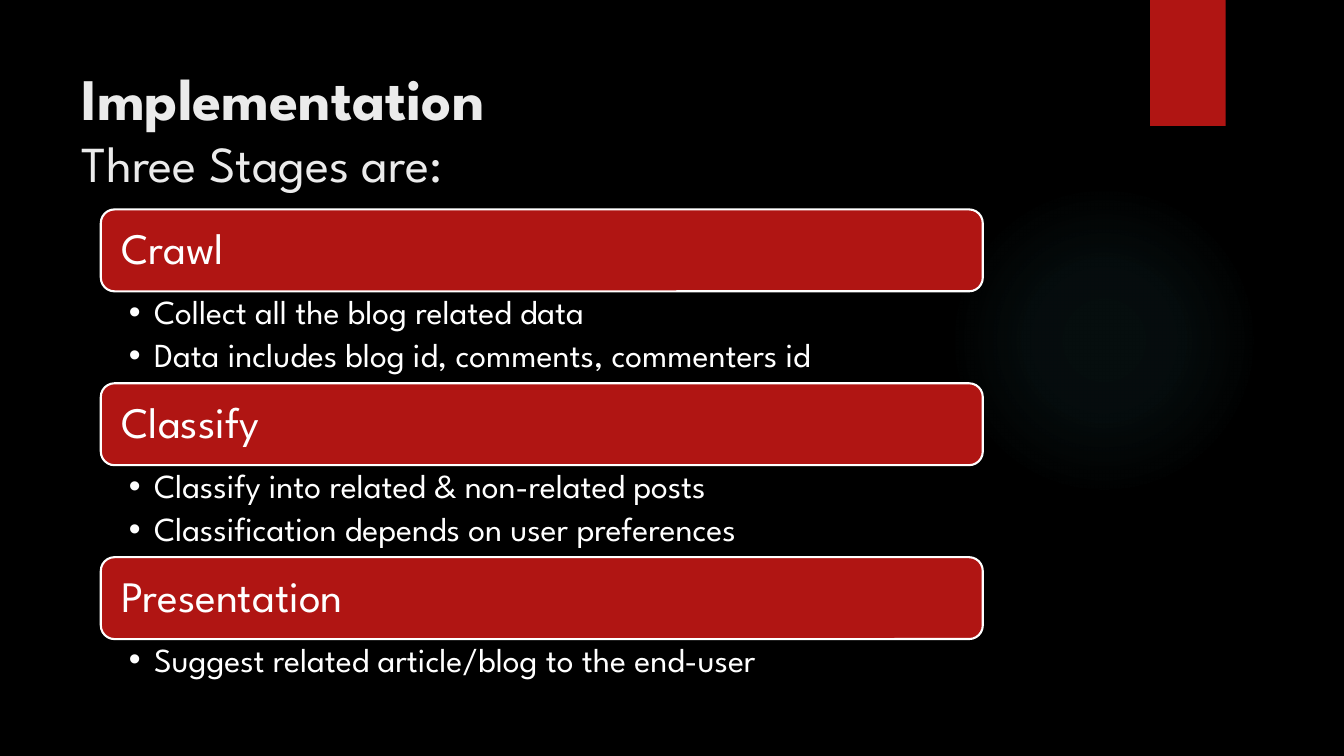
import pptx
import pptx.dml.color
import pptx.enum.shapes
import pptx.enum.text
import pptx.oxml
import pptx.oxml.ns
import pptx.util

Pt = pptx.util.Pt
RGBColor = pptx.dml.color.RGBColor
SHAPE = pptx.enum.shapes.MSO_SHAPE
ANCHOR = pptx.enum.text.MSO_ANCHOR
ALIGN = pptx.enum.text.PP_ALIGN

BLACK = RGBColor(0x00, 0x00, 0x00)
RED = RGBColor(0xB0, 0x15, 0x13)
WHITE = RGBColor(0xFF, 0xFF, 0xFF)
PALE = RGBColor(0xEB, 0xEB, 0xEB)
TEAL = RGBColor(0x50, 0xB9, 0xC1)
FONT = "League Spartan"
COMPARISON_LAYOUT = 4

STAGES = [
    ("Crawl", ["Collect all the blog related data",
               "Data includes blog id, comments, commenters id"]),
    ("Classify", ["Classify into related & non-related posts",
                  "Classification depends on user preferences"]),
    ("Presentation", ["Suggest related article/blog to the end-user"]),
]
STAGE_LEFT, STAGE_WIDTH = 72, 630
STAGE_TOP, STAGE_PITCH = 149.6, 124.2
BAR_HEIGHT = 58.5
LIST_HEIGHTS = {1: 40, 2: 65.5}


def place(item, left, top, width, height):
    item.left, item.top = Pt(left), Pt(top)
    item.width, item.height = Pt(width), Pt(height)


def set_frame(frame, anchor, left, top, right, bottom):
    frame.word_wrap = True
    frame.auto_size = pptx.enum.text.MSO_AUTO_SIZE.NONE
    frame.vertical_anchor = anchor
    frame.margin_left, frame.margin_top = Pt(left), Pt(top)
    frame.margin_right, frame.margin_bottom = Pt(right), Pt(bottom)


def set_font(font, size, color, bold=False):
    font.name, font.size, font.bold = FONT, Pt(size), bold
    font.color.rgb = color


def add_block(slide, kind, left, top, width, height):
    block = slide.shapes.add_shape(kind, Pt(left), Pt(top), Pt(width), Pt(height))
    block.shadow.inherit = False
    block.fill.solid()
    block.fill.fore_color.rgb = RED
    block.line.fill.background()
    return block


def add_glow(slide):
    glow = add_block(slide, SHAPE.OVAL, 677.5, 131.8, 221.8, 221.8)
    stops = "".join(
        f'<a:gs pos="{position * 1000}"><a:srgbClr val="{TEAL}">'
        f'<a:alpha val="{opacity * 1000}"/></a:srgbClr></a:gs>'
        for position, opacity in [(0, 7), (36, 6), (69, 0)])
    gradient = pptx.oxml.parse_xml(
        f'<a:gradFill {pptx.oxml.ns.nsdecls("a")}><a:gsLst>{stops}</a:gsLst>'
        '<a:path path="circle"><a:fillToRect l="50000" t="50000" r="50000" b="50000"/>'
        '</a:path></a:gradFill>')
    properties = glow.element.spPr
    solid = properties.find(pptx.oxml.ns.qn("a:solidFill"))
    properties.replace(solid, gradient)


def write_title(title):
    place(title, 51, 36, 740, 110)
    set_frame(title.text_frame, ANCHOR.MIDDLE, 7.2, 3.6, 7.2, 3.6)
    paragraph = title.text_frame.paragraphs[0]
    paragraph.alignment = ALIGN.LEFT
    heading = paragraph.add_run()
    heading.text = "Implementation"
    set_font(heading.font, 42, PALE, bold=True)
    paragraph.add_line_break()
    subheading = paragraph.add_run()
    subheading.text = "Three Stages are:"
    set_font(subheading.font, 36, PALE)


def add_stage_bar(slide, stage, top):
    bar = add_block(slide, SHAPE.ROUNDED_RECTANGLE,
                    STAGE_LEFT, top, STAGE_WIDTH, BAR_HEIGHT)
    bar.line.color.rgb = WHITE
    bar.line.width = Pt(1.5)
    set_frame(bar.text_frame, ANCHOR.MIDDLE, 12, 9, 12, 9)
    paragraph = bar.text_frame.paragraphs[0]
    paragraph.text = stage
    paragraph.alignment = ALIGN.LEFT
    paragraph.line_spacing = 0.9
    set_font(paragraph.font, 31, WHITE)


def add_bullet(paragraph):
    properties = paragraph._p.get_or_add_pPr()
    properties.set("marL", str(Pt(18)))
    properties.set("indent", str(-Pt(18)))
    properties.append(pptx.oxml.parse_xml(
        f'<a:buChar {pptx.oxml.ns.nsdecls("a")} char="•"/>'))


def write_details(body, details, top):
    place(body, STAGE_LEFT, top, STAGE_WIDTH, LIST_HEIGHTS[len(details)])
    frame = body.text_frame
    set_frame(frame, ANCHOR.TOP, 20, 3, 17, 3)
    frame.text = "\n".join(details)
    for paragraph in frame.paragraphs:
        paragraph.alignment = ALIGN.LEFT
        paragraph.line_spacing = 0.9
        paragraph.space_before, paragraph.space_after = Pt(0), Pt(4.8)
        add_bullet(paragraph)
        set_font(paragraph.font, 24, WHITE)


def main():
    deck = pptx.Presentation()
    deck.slide_width, deck.slide_height = Pt(960), Pt(540)
    slide = deck.slides.add_slide(deck.slide_layouts[COMPARISON_LAYOUT])
    slide.background.fill.solid()
    slide.background.fill.fore_color.rgb = BLACK
    title, *bodies = list(slide.placeholders)[:5]

    # Backdrop
    add_glow(slide)
    add_block(slide, SHAPE.RECTANGLE, 821.5, 0, 54, 90)

    # Title
    write_title(title)

    # Stages with their details
    for number, (stage, details) in enumerate(STAGES):
        top = STAGE_TOP + number * STAGE_PITCH
        add_stage_bar(slide, stage, top)
        write_details(bodies[number], details, top + BAR_HEIGHT)

    # Unused placeholders
    for body in bodies[len(STAGES):]:
        body.element.getparent().remove(body.element)

    deck.save("out.pptx")


if __name__ == "__main__":
    main()
